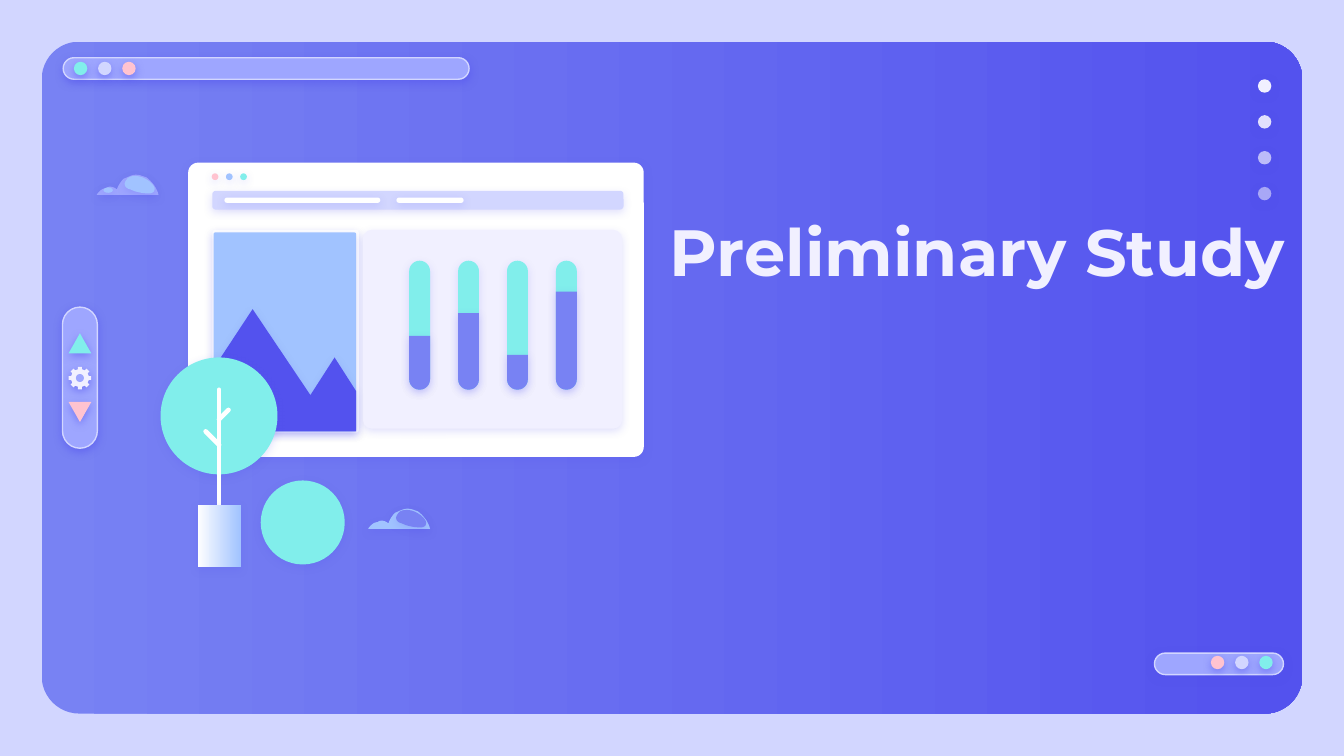
import math
import pptx
import pptx.dml.color
import pptx.enum.shapes
import pptx.enum.text
import pptx.oxml
import pptx.oxml.ns
import pptx.util

Inches = pptx.util.Inches
RGB = pptx.dml.color.RGBColor.from_string
KIND = pptx.enum.shapes.MSO_SHAPE
QN = pptx.oxml.ns.qn
COLORS = {
    "indigo": "5352EE", "violet": "7882F3", "lilac": "9EA6FF", "pale": "D2D6FF",
    "mist": "F1F0FF", "sky": "A1C3FF", "teal": "81EEEB", "pink": "FFC3D0", "white": "FFFFFF",
}


def paint(shape, fill, shadow=17, opacity=100, outline=None, radius=None):
    if isinstance(fill, tuple):
        shape.fill.gradient()
        shape.fill.gradient_angle = 0
        for stop, name in zip(shape.fill.gradient_stops, fill):
            stop.color.rgb = RGB(COLORS[name])
    else:
        shape.fill.solid()
        shape.fill.fore_color.rgb = RGB(COLORS[fill])
    if opacity < 100:
        color = shape._element.spPr.find(QN("a:solidFill"))[0]
        color.append(pptx.oxml.parse_xml(
            f'<a:alpha {pptx.oxml.ns.nsdecls("a")} val="{opacity * 1000}"/>'))
    if outline:
        shape.line.color.rgb = RGB(COLORS[outline])
        shape.line.width = pptx.util.Pt(0.75)
    else:
        shape.line.fill.background()
    if radius is not None:
        shape.adjustments[0] = radius
    shape.shadow.inherit = False
    if shadow:
        shape._element.spPr.find(QN("a:effectLst")).append(pptx.oxml.parse_xml(
            f'<a:outerShdw {pptx.oxml.ns.nsdecls("a")} blurRad="57150" dist="19050" '
            f'dir="5400000" algn="bl" rotWithShape="0"><a:srgbClr val="{COLORS["indigo"]}">'
            f'<a:alpha val="{shadow * 1000}"/></a:srgbClr></a:outerShdw>'))


def write_text(box, text, font="Montserrat", size=35, color="mist", bold=True):
    frame = box.text_frame
    frame.word_wrap = True
    frame.auto_size = pptx.enum.text.MSO_AUTO_SIZE.NONE
    frame.vertical_anchor = pptx.enum.text.MSO_ANCHOR.TOP
    frame.margin_left = frame.margin_right = Inches(0.1)
    frame.margin_top = frame.margin_bottom = Inches(0.1)
    para = frame.paragraphs[0]
    para.alignment = pptx.enum.text.PP_ALIGN.LEFT
    span = para.add_run()
    span.text = text
    span.font.name = font
    span.font.size = pptx.util.Pt(size)
    span.font.bold = bold
    span.font.color.rgb = RGB(COLORS[color])


deck = pptx.Presentation()
deck.slide_width, deck.slide_height = Inches(10), Inches(5.625)
page = deck.slides.add_slide(deck.slide_layouts[5])
page.background.fill.solid()
page.background.fill.fore_color.rgb = RGB(COLORS["pale"])
shapes = page.shapes

panel = shapes.add_shape(KIND.ROUNDED_RECTANGLE, Inches(0.31), Inches(0.31), Inches(9.38), Inches(5))
paint(panel, ("violet", "indigo"), shadow=0, radius=0.056)

for left, top, width, height in [(0.47, 0.43, 3.02, 0.16), (8.59, 4.86, 0.96, 0.16),
                                 (0.465, 2.285, 0.26, 1.05)]:
    pill = shapes.add_shape(KIND.ROUNDED_RECTANGLE, Inches(left), Inches(top), Inches(width), Inches(height))
    paint(pill, "lilac", shadow=50, outline="pale", radius=0.5)

for i, name in enumerate(["teal", "pale", "pink"]):
    for left, top in [(0.55 + 0.18 * i, 0.46), (9.37 - 0.18 * i, 4.88)]:
        dot = shapes.add_shape(KIND.OVAL, Inches(left), Inches(top), Inches(0.1), Inches(0.1))
        paint(dot, name, shadow=50)

for i, opacity in enumerate([100, 90, 67, 54]):
    dot = shapes.add_shape(KIND.OVAL, Inches(9.36), Inches(0.59 + 0.267 * i), Inches(0.1), Inches(0.1))
    paint(dot, "mist", shadow=50, opacity=opacity)

for top, turn, name in [(2.48, 0, "teal"), (2.99, 180, "pink")]:
    arrow = shapes.add_shape(KIND.ISOSCELES_TRIANGLE, Inches(0.51), Inches(top), Inches(0.17), Inches(0.15))
    arrow.rotation = turn
    paint(arrow, name, shadow=50)

for left, top, width, height, name, radius in [
    (1.4, 1.21, 3.39, 2.19, "white", 0.034),
    (1.58, 1.71, 1.09, 1.51, "white", 0.02),
    (1.59, 1.73, 1.06, 1.48, "sky", 0.01),
    (1.58, 1.42, 3.06, 0.14, "pale", 0.18),
    (1.67, 1.47, 1.16, 0.04, "white", 0.5),
    (2.95, 1.47, 0.5, 0.04, "white", 0.5),
    (2.7, 1.71, 1.93, 1.48, "mist", 0.045),
]:
    block = shapes.add_shape(KIND.ROUNDED_RECTANGLE, Inches(left), Inches(top), Inches(width), Inches(height))
    paint(block, name, radius=radius)

for i, name in enumerate(["pink", "sky", "teal"]):
    dot = shapes.add_shape(KIND.OVAL, Inches(1.575 + 0.106 * i), Inches(1.29), Inches(0.05), Inches(0.05))
    paint(dot, name)

for i, level in enumerate([2.5, 2.33, 2.64, 2.17]):
    left = 3.045 + 0.364 * i
    bar = shapes.add_shape(KIND.ROUNDED_RECTANGLE, Inches(left), Inches(1.94), Inches(0.155), Inches(0.96))
    paint(bar, "teal", radius=0.5)
    part = shapes.add_shape(KIND.ROUND_2_SAME_RECTANGLE, Inches(left), Inches(level),
                            Inches(0.155), Inches(2.9 - level))
    paint(part, "violet", radius=0)
    part.adjustments[1] = 0.5

mountains = [(1.59, 2.74), (1.88, 2.3), (2.31, 2.94), (2.49, 2.66), (2.65, 2.91), (2.65, 3.21), (1.59, 3.21)]
gear = [(0.595 + r * math.cos(math.radians(45 * k + a)), 2.813 + r * math.sin(math.radians(45 * k + a)))
        for k in range(8) for r, a in [(0.067, -13), (0.085, -10), (0.085, 10), (0.067, 13)]]
outlines = [(mountains, "indigo", 17), (gear, "mist", 52)]

cloud = [(0.72, 1.45), (0.73, 1.43), (0.76, 1.4), (0.79, 1.4), (0.81, 1.38), (0.85, 1.39), (0.87, 1.41),
         (0.88, 1.38), (0.9, 1.35), (0.92, 1.33), (0.95, 1.32), (0.98, 1.3), (1.01, 1.3),
         (1.04, 1.3), (1.06, 1.31), (1.09, 1.32), (1.13, 1.35), (1.17, 1.4), (1.18, 1.45)]
glow = [(1.01, 1.31), (0.97, 1.31), (0.95, 1.32), (0.94, 1.34), (0.92, 1.36), (0.92, 1.4), (0.97, 1.41),
        (1.01, 1.43), (1.06, 1.44), (1.11, 1.44), (1.13, 1.44), (1.15, 1.43), (1.15, 1.41),
        (1.16, 1.38), (1.08, 1.31), (1.01, 1.31)]
for right, down, names in [(0, 0, ("lilac", "sky")), (2.02, 2.485, ("sky", "violet"))]:
    for controls, name in zip((cloud, glow), names):
        points = [controls[0]]
        for i in range(0, len(controls) - 1, 3):
            for t in [step / 8 for step in range(1, 9)]:
                weights = [(1 - t) ** 3, 3 * t * (1 - t) ** 2, 3 * t * t * (1 - t), t ** 3]
                points.append([sum(w * p[axis] for w, p in zip(weights, controls[i:i + 4])) for axis in (0, 1)])
        outlines.append(([(x + right, y + down) for x, y in points], name, 17))

for points, name, shadow in outlines:
    points = [(Inches(x), Inches(y)) for x, y in points]
    builder = shapes.build_freeform(*points[0])
    builder.add_line_segments(points[1:])
    paint(builder.convert_to_shape(), name, shadow=shadow)

for left, top, width, height, name in [
    (0.565, 2.783, 0.06, 0.06, "lilac"),
    (0.77, 1.395, 0.07, 0.04, "sky"),
    (1.94, 3.575, 0.625, 0.625, "teal"),
    (1.195, 2.66, 0.87, 0.87, "teal"),
]:
    disc = shapes.add_shape(KIND.OVAL, Inches(left), Inches(top), Inches(width), Inches(height))
    paint(disc, name, shadow=0 if name == "lilac" else 17)

for x1, y1, x2, y2 in [(1.63, 2.9, 1.63, 3.82), (1.53, 3.21, 1.63, 3.31), (1.7, 3.05, 1.63, 3.12)]:
    branch = shapes.add_connector(pptx.enum.shapes.MSO_CONNECTOR.STRAIGHT,
                                  Inches(x1), Inches(y1), Inches(x2), Inches(y2))
    branch.line.color.rgb = RGB(COLORS["white"])
    branch.line.width = pptx.util.Pt(2.5)
    properties = branch._element.spPr
    properties.find(QN("a:ln")).set("cap", "rnd")
    properties.append(pptx.oxml.parse_xml(f'<a:effectLst {pptx.oxml.ns.nsdecls("a")}/>'))

pot = shapes.add_shape(KIND.RECTANGLE, Inches(1.47), Inches(3.76), Inches(0.32), Inches(0.46))
paint(pot, ("white", "sky"))

title = shapes.title
title.left, title.top, title.width, title.height = Inches(4.88), Inches(1.47), Inches(5.04), Inches(0.63)
write_text(title, "Preliminary Study")
shapes._spTree.append(title._element)

deck.save("out.pptx")
